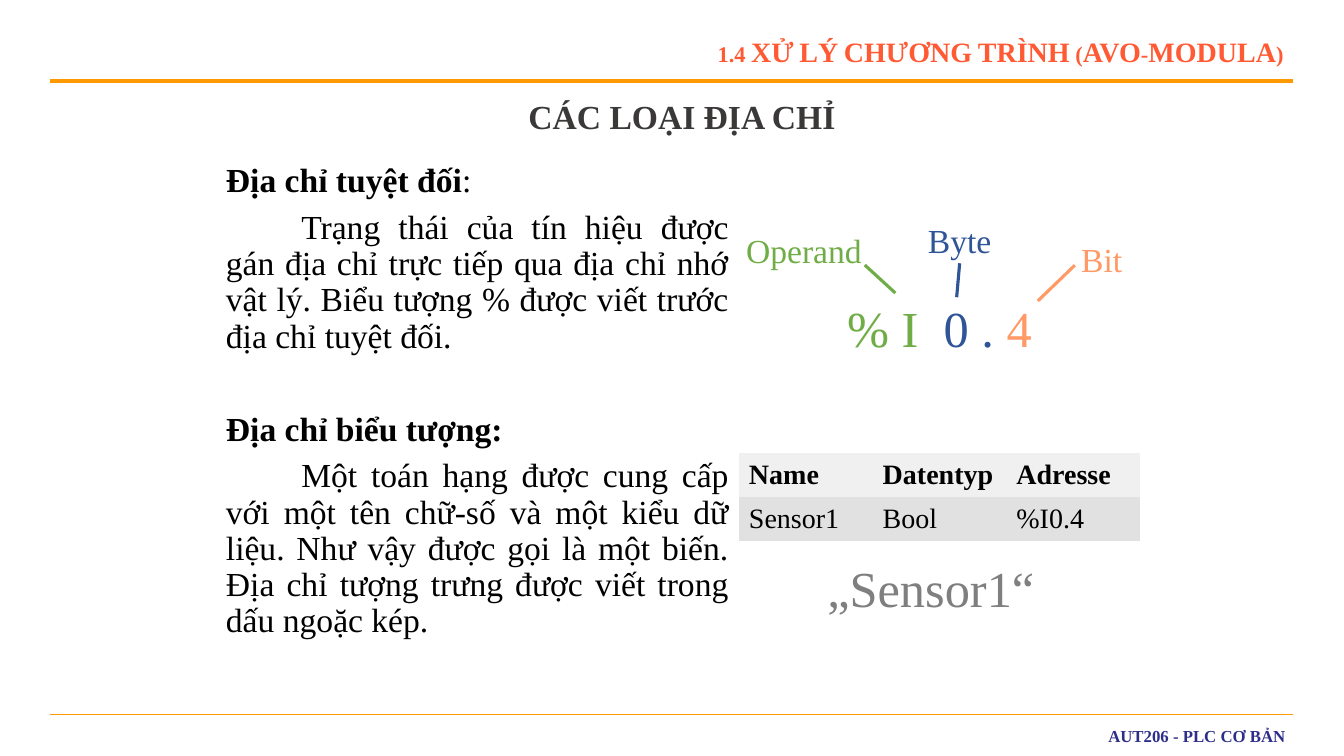
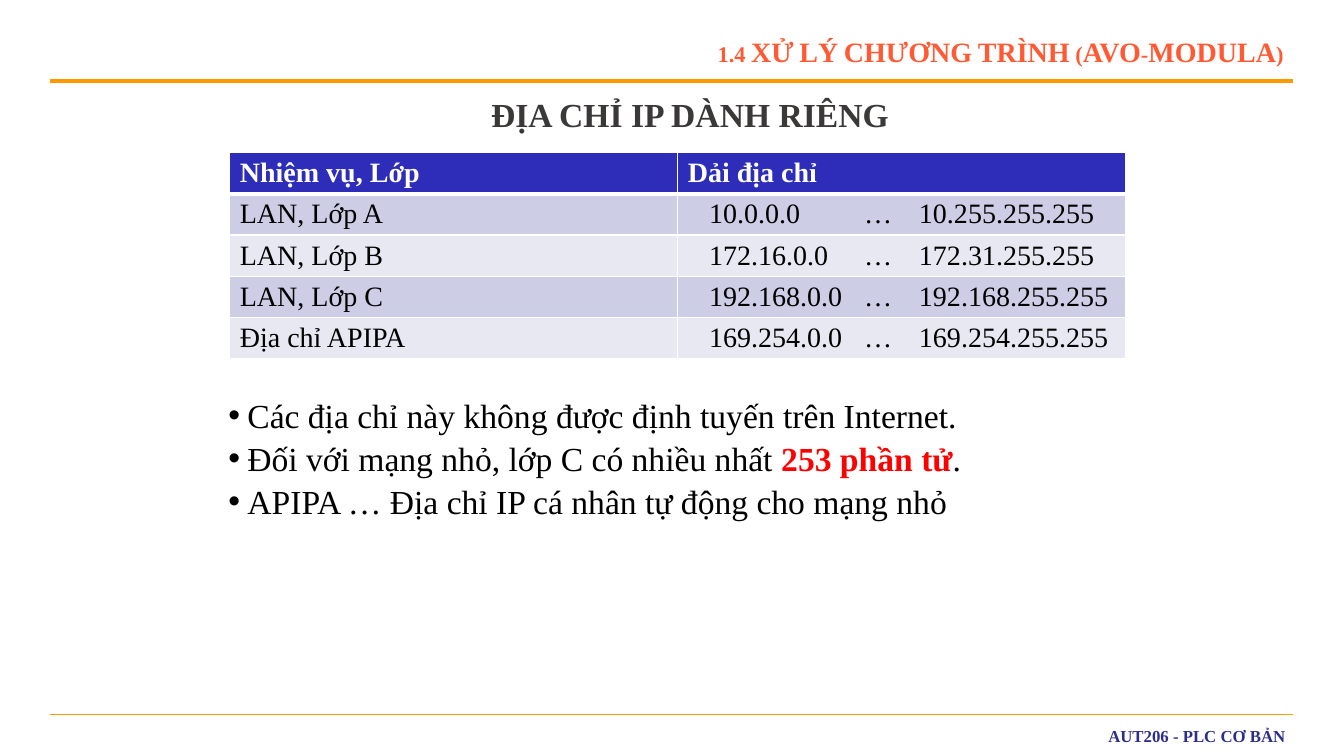
from dataclasses import dataclass

from lxml import etree
from pptx import Presentation
from pptx import util as u
from pptx.dml.color import RGBColor
from pptx.enum import shapes, text
from pptx.oxml import ns


@dataclass(frozen=True)
class Theme:
    """Colours and type sizes of the deck."""
    font: str = "Times New Roman"
    black: str = "000000"
    white: str = "FFFFFF"
    title: str = "3B3838"
    header: str = "FF5A33"
    rule: str = "FF9900"
    footer: str = "2D2D8A"
    operand: str = "70AD47"
    byte: str = "2F5597"
    bit: str = "FF9966"
    symbol: str = "7F7F7F"
    accent: str = "FF0000"
    name_fills: tuple = ("F1F0F0", "E1E1E1")
    range_head: str = "2D2DB9"
    range_fills: tuple = ("CDCDE6", "E8E8F3")
    formula_size: int = 36
    body_size: int = 24
    label_size: int = 20
    footer_size: int = 12


THEME = Theme()
ALIGN = text.PP_ALIGN
ANCHOR = text.MSO_ANCHOR


def rgb(value):
    """Turn a hex string into a colour."""
    return RGBColor.from_string(value)


def sub(parent, tag, **attributes):
    """Append a drawing element to its parent."""
    element = etree.SubElement(parent, ns.qn(tag))
    for key, value in attributes.items():
        element.set(key, str(value))
    return element


def add_text(paragraph, content, size=THEME.body_size, color=THEME.black,
             bold=False, small_caps=False, spacing=0):
    """Add one formatted run to a paragraph."""
    run = paragraph.add_run()
    run.text = content
    font = run.font
    font.name, font.size, font.bold = THEME.font, u.Pt(size), bold
    font.color.rgb = rgb(color)
    properties = run._r.get_or_add_rPr()
    if small_caps:
        properties.set("cap", "small")
    if spacing:
        properties.set("spc", str(spacing * 100))


def set_frame(frame, anchor=ANCHOR.TOP, wrap=True):
    """Prepare a text frame and return its first paragraph."""
    frame.auto_size = text.MSO_AUTO_SIZE.NONE
    frame.word_wrap = wrap
    frame.vertical_anchor = anchor
    return frame.paragraphs[0]


def place(shape, left, top, width, height):
    """Move and size a shape, in centimetres."""
    shape.left, shape.top = u.Cm(left), u.Cm(top)
    shape.width, shape.height = u.Cm(width), u.Cm(height)


def add_box(slide, box, align, anchor=ANCHOR.TOP, wrap=True):
    """Add a text box and return its frame and first paragraph."""
    frame = slide.shapes.add_textbox(*map(u.Cm, box)).text_frame
    paragraph = set_frame(frame, anchor, wrap)
    paragraph.alignment = align
    return frame, paragraph


def add_rule(slide, top, weight):
    """Draw a horizontal rule across the slide."""
    line = slide.shapes.add_connector(
        shapes.MSO_CONNECTOR.STRAIGHT, u.Cm(1.27), u.Cm(top), u.Cm(32.59), u.Cm(top))
    line.line.color.rgb = rgb(THEME.rule)
    line.line.width = u.Pt(weight)
    sub(line._element.spPr, "a:effectLst")


def add_slide(presentation, title, left, top):
    """Add a slide with its title, section header, rules and footer."""
    slide = presentation.slides.add_slide(presentation.slide_layouts[1])
    place(slide.shapes.title, left, top, 15.01, 1.32)
    paragraph = set_frame(slide.shapes.title.text_frame, ANCHOR.BOTTOM)
    paragraph.alignment = ALIGN.CENTER
    add_text(paragraph, title, color=THEME.title, bold=True)

    _, paragraph = add_box(slide, (9.42, 0.61, 23.18, 1.35), ALIGN.RIGHT, ANCHOR.MIDDLE)
    add_text(paragraph, "1.4 XỬ LÝ CHƯƠNG TRÌNH (AVO-MODULA)", THEME.label_size,
             THEME.header, bold=True, small_caps=True)
    add_rule(slide, 2.04, 3)
    add_rule(slide, 18.01, 0.75)
    frame, paragraph = add_box(slide, (9.75, 18.06, 22.83, 0.97), ALIGN.RIGHT, ANCHOR.MIDDLE)
    frame.margin_left = frame.margin_right = u.Cm(0.18)
    frame.margin_top = frame.margin_bottom = u.Cm(0.1)
    add_text(paragraph, "AUT206 - PLC CƠ BẢN", THEME.footer_size, THEME.footer, bold=True)
    return slide


def next_paragraph(frame, first, align, line_spacing, margin=0, indent=0, bullet=None, before=7.5):
    """Start a body paragraph with its bullet, indents and spacing."""
    paragraph = frame.paragraphs[0] if first else frame.add_paragraph()
    properties = paragraph._p.get_or_add_pPr()
    properties.set("marL", str(u.Cm(margin)))
    properties.set("indent", str(u.Cm(indent)))
    if bullet:
        sub(properties, "a:buFont", typeface="Arial")
        sub(properties, "a:buChar", char=bullet)
    else:
        sub(properties, "a:buNone")
    paragraph.alignment = align
    paragraph.line_spacing = line_spacing
    paragraph.space_before = u.Pt(0 if first else before)
    return paragraph


def add_callout(slide, label, color, box, pointer):
    """Add a borderless label with a pointer line."""
    shape = slide.shapes.add_shape(
        shapes.MSO_SHAPE.LINE_CALLOUT_1_NO_BORDER, *map(u.Cm, box))
    shape.shadow.inherit = False
    shape.fill.background()
    shape.line.color.rgb = rgb(color)
    shape.line.width = u.Pt(2.25)
    for index, value in enumerate(pointer):
        shape.adjustments[index] = value
    paragraph = set_frame(shape.text_frame)
    paragraph.alignment = ALIGN.CENTER
    add_text(paragraph, label, color=color)


def set_borders(cell, top, bottom, side):
    """Give a cell white borders; a zero width hides the border."""
    properties = cell._tc.get_or_add_tcPr()
    widths = {"a:lnL": side, "a:lnR": side, "a:lnT": top, "a:lnB": bottom}
    for tag, width in widths.items():
        line = sub(properties, tag, w=u.Pt(width))
        if width:
            sub(sub(line, "a:solidFill"), "a:srgbClr", val=THEME.white)
        else:
            sub(line, "a:noFill")


def add_table(slide, rows, left, top, column_width, row_height, fills,
              head_color, border=0, head_border=0, padding=0.13):
    """Add a table with a bold head row and return it."""
    count = len(rows[0])
    table = slide.shapes.add_table(
        len(rows), count, u.Cm(left), u.Cm(top),
        u.Cm(column_width * count), u.Cm(row_height * len(rows))).table
    table.first_row = table.horz_banding = False
    for row_index, row in enumerate(rows):
        head = row_index == 0
        table.rows[row_index].height = u.Cm(row_height)
        for column_index, content in enumerate(row):
            cell = table.cell(row_index, column_index)
            set_borders(cell, head_border if row_index == 1 else border,
                        head_border if head else border, border)
            cell.fill.solid()
            cell.fill.fore_color.rgb = rgb(fills[row_index])
            cell.vertical_anchor = ANCHOR.MIDDLE
            cell.margin_top = cell.margin_bottom = u.Cm(padding)
            add_text(cell.text_frame.paragraphs[0], content, THEME.label_size,
                     head_color if head else THEME.black, bold=head)
    return table


def align_ranges(table):
    """Indent the address ranges and line up their parts on tab stops."""
    for row_index in range(1, len(table.rows)):
        cell = table.cell(row_index, 1)
        cell.margin_left = u.Cm(0.79)
        properties = cell.text_frame.paragraphs[0]._p.get_or_add_pPr()
        stops = sub(properties, "a:tabLst")
        for position in (3.91, 5.29):
            sub(stops, "a:tab", pos=u.Cm(position), algn="l")


def build_address_types(presentation):
    """Build the slide on absolute and symbolic addresses."""
    slide = add_slide(presentation, "CÁC LOẠI ĐỊA CHỈ", 9.68, 2.24)
    body = slide.placeholders[1]
    place(body, 5.44, 3.99, 13.18, 12.73)
    set_frame(body.text_frame)
    sections = [
        ("Địa chỉ tuyệt đối", ":", False,
         "Trạng thái của tín hiệu được gán địa chỉ trực tiếp qua địa chỉ nhớ vật lý. "
         "Biểu tượng % được viết trước địa chỉ tuyệt đối."),
        ("Địa chỉ biểu tượng", ":", True,
         "Một toán hạng được cung cấp với một tên chữ-số và một kiểu dữ liệu. Như vậy "
         "được gọi là một biến. Địa chỉ tượng trưng được viết trong dấu ngoặc kép."),
    ]
    for index, (heading, colon, bold_colon, description) in enumerate(sections):
        paragraph = next_paragraph(body.text_frame, index == 0, ALIGN.JUSTIFY, 0.9, before=40.5)
        add_text(paragraph, heading, bold=True)
        add_text(paragraph, colon, bold=bold_colon)
        paragraph = next_paragraph(body.text_frame, False, ALIGN.JUSTIFY, 0.9, indent=1.9)
        add_text(paragraph, description)

    _, formula = add_box(slide, (19.23, 7.37, 8.89, 1.8), ALIGN.CENTER)
    add_text(formula, "% I", THEME.formula_size, THEME.operand)
    add_text(formula, " ", THEME.formula_size, THEME.operand, spacing=9)
    add_text(formula, "0 .", THEME.formula_size, THEME.byte)
    add_text(formula, " 4", THEME.formula_size, THEME.bit)
    callouts = [
        ("Bit", THEME.bit, (26.85, 5.89, 1.83, 1.5), (0.53, 0.13, 1.13, -0.38)),
        ("Byte", THEME.byte, (22.94, 5.42, 2.49, 1.5), (0.81, 0.5, 1.38, 0.47)),
        ("Operand", THEME.operand, (18.34, 5.66, 3.84, 1.5), (0.68, 0.9, 1.15, 1.1)),
    ]
    for callout in callouts:
        add_callout(slide, *callout)

    rows = [("Name", "Datentyp", "Adresse"), ("Sensor1", "Bool", "%I0.4")]
    add_table(slide, rows, 18.62, 11.42, 3.37, 1.1, THEME.name_fills, THEME.black)
    _, paragraph = add_box(slide, (20.6, 13.92, 5.74, 1.8), ALIGN.LEFT, wrap=False)
    add_text(paragraph, "„Sensor1“", THEME.formula_size, THEME.symbol)


def build_reserved_addresses(presentation):
    """Build the slide on reserved IP addresses."""
    slide = add_slide(presentation, "ĐỊA CHỈ IP DÀNH RIÊNG", 9.88, 2.2)
    rows = [
        ("Nhiệm vụ, Lớp", "Dải địa chỉ"),
        ("LAN, Lớp A", "10.0.0.0\t…\t10.255.255.255"),
        ("LAN, Lớp B", "172.16.0.0\t…\t172.31.255.255"),
        ("LAN, Lớp C", "192.168.0.0\t…\t192.168.255.255"),
        ("Địa chỉ APIPA", "169.254.0.0\t…\t169.254.255.255"),
    ]
    fills = (THEME.range_head, *THEME.range_fills * 2)
    table = add_table(slide, rows, 5.79, 3.84, 11.29, 1.04, fills, THEME.white,
                      border=1, head_border=3, padding=0.08)
    align_ranges(table)

    body = slide.placeholders[1]
    place(body, 5.5, 10.03, 22.96, 3.18)
    set_frame(body.text_frame)
    bullets = [
        [("Các địa chỉ này không được định tuyến trên Internet.", {})],
        [("Đối với mạng nhỏ, lớp C có nhiều nhất ", {}),
         ("253 phần tử", {"color": THEME.accent, "bold": True}), (".", {})],
        [("APIPA … Địa chỉ IP cá nhân tự động cho mạng nhỏ", {})],
    ]
    for index, runs in enumerate(bullets):
        paragraph = next_paragraph(body.text_frame, index == 0, ALIGN.LEFT, 0.8,
                                   margin=0.48, indent=-0.48, bullet="•")
        for content, style in runs:
            add_text(paragraph, content, **style)


def main():
    """Build and save the presentation."""
    presentation = Presentation()
    presentation.slide_width, presentation.slide_height = u.Cm(33.87), u.Cm(19.05)
    build_address_types(presentation)
    build_reserved_addresses(presentation)
    presentation.save("out.pptx")


if __name__ == "__main__":
    main()
